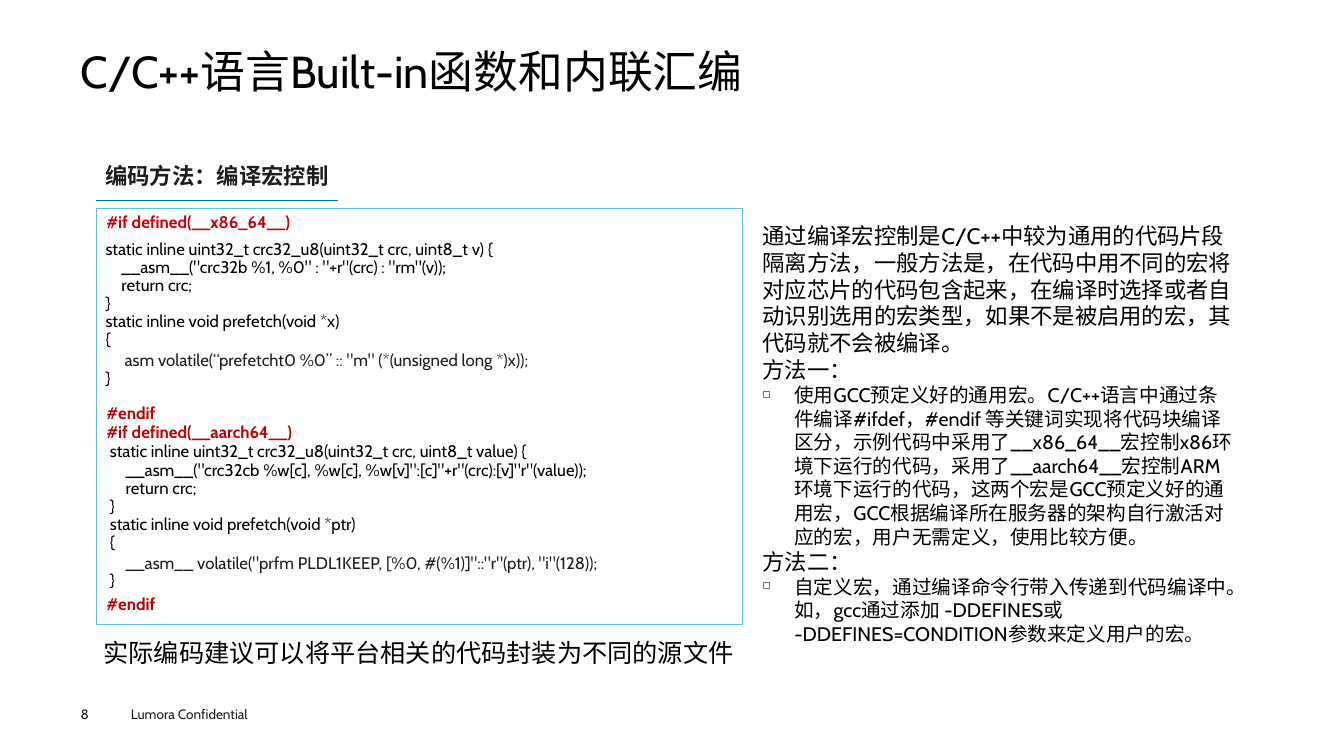
from dataclasses import dataclass

from lxml.etree import SubElement
from pptx import Presentation
from pptx.dml.color import RGBColor
from pptx.enum.shapes import MSO_CONNECTOR, MSO_SHAPE
from pptx.enum.text import MSO_ANCHOR, PP_ALIGN
from pptx.oxml.ns import qn
from pptx.slide import Slide
from pptx.util import Cm, Pt

COLORS = {
    "black": "000000",
    "ink": "1D1D1A",
    "red": "C7000B",
    "dark_red": "C00000",
    "teal": "5EC5D2",
    "blue": "0070C0",
}


def write(paragraph, text, font="Cabin", size=12, color="black", bold=False,
          align=PP_ALIGN.LEFT, spacing=1.0, before=0, indent=0, bullet=None):
    paragraph.alignment = align
    paragraph.line_spacing = spacing
    paragraph.space_before = Pt(before)
    properties = paragraph._p.get_or_add_pPr()
    properties.set("marL", str(Cm(indent)))
    properties.set("indent", str(Cm(-indent if bullet else 0)))
    if bullet:
        SubElement(properties, qn("a:buSzPct"), val="50000")
        SubElement(properties, qn("a:buChar"), char=bullet)
    span = paragraph.add_run()
    span.text = text
    span.font.name = font
    span.font.size = Pt(size)
    span.font.bold = bold
    span.font.color.rgb = RGBColor.from_string(COLORS[color])
    SubElement(span._r.get_or_add_rPr(), qn("a:ea"), typeface=font)


@dataclass
class Painter:
    """Draws styled elements on the current page."""
    page: Slide
    font: str = "Cabin"

    def fill_frame(self, frame, lines, inset=True, **style):
        frame.word_wrap = True
        frame.vertical_anchor = MSO_ANCHOR.TOP
        if not inset:
            frame.margin_left = frame.margin_right = 0
            frame.margin_top = frame.margin_bottom = 0
        for index, (text, own) in enumerate(lines):
            paragraph = frame.add_paragraph() if index else frame.paragraphs[0]
            write(paragraph, text, **{"font": self.font, **style, **own})

    def text(self, place, lines, **style):
        box = self.page.shapes.add_textbox(*map(Cm, place))
        self.fill_frame(box.text_frame, lines, **style)

    def label(self, place, text, **style):
        self.text(place, [(text, {})], **style)

    def panel(self, place, lines, outline, width, **style):
        box = self.page.shapes.add_shape(MSO_SHAPE.RECTANGLE, *map(Cm, place))
        box.shadow.inherit = False
        box.fill.background()
        box.line.color.rgb = RGBColor.from_string(COLORS[outline])
        box.line.width = Pt(width)
        self.fill_frame(box.text_frame, lines, **style)

    def rule(self, left, right, top, color, width):
        line = self.page.shapes.add_connector(
            MSO_CONNECTOR.STRAIGHT, Cm(left), Cm(top), Cm(right), Cm(top))
        line.line.color.rgb = RGBColor.from_string(COLORS[color])
        line.line.width = Pt(width)
        SubElement(line._element.spPr, qn("a:effectLst"))


STEP = {"indent": 0.4}
ASSEMBLY = {"color": "ink", "spacing": 1.0}
ITEM = {"size": 14, "indent": 0.8, "bullet": "◻"}

GUARDS = [
    ("#if defined(__x86_64__)", {"color": "red"}),
    ("#endif", {"before": 122.6}),
    ("#if defined(__aarch64__)", {}),
    ("#endif", {"before": 109}),
]
X86_CODE = [
    ("static inline uint32_t crc32_u8(uint32_t crc, uint8_t v) {", {}),
    ('__asm__("crc32b %1, %0" : "+r"(crc) : "rm"(v));', STEP),
    ("return crc;", STEP),
    ("}", {}),
    ("static inline void prefetch(void *x)", {}),
    ("{", {}),
    ('asm volatile(“prefetcht0 %0” :: "m" (*(unsigned long *)x));',
     {**ASSEMBLY, "indent": 0.48}),
    ("}", {}),
]
ARM_CODE = [
    ("static inline uint32_t crc32_u8(uint32_t crc, uint8_t value) {", {}),
    ('__asm__("crc32cb %w[c], %w[c], %w[v]":[c]"+r"(crc):[v]"r"(value));', STEP),
    ("return crc;", STEP),
    ("}", {}),
    ("static inline void prefetch(void *ptr)", {}),
    ("{", {}),
    ('__asm__ volatile("prfm PLDL1KEEP, [%0, #(%1)]"::"r"(ptr), "i"(128));',
     {**ASSEMBLY, **STEP}),
    ("}", {}),
]
EXPLANATION = [
    ("通过编译宏控制是C/C++中较为通用的代码片段隔离方法，一般方法是，"
     "在代码中用不同的宏将对应芯片的代码包含起来，在编译时选择或者自动识别"
     "选用的宏类型，如果不是被启用的宏，其代码就不会被编译。", {}),
    ("方法一：", {}),
    ("使用GCC预定义好的通用宏。C/C++语言中通过条件编译#ifdef，#endif 等"
     "关键词实现将代码块编译区分，示例代码中采用了__x86_64__宏控制x86环境下"
     "运行的代码，采用了__aarch64__宏控制ARM环境下运行的代码，这两个宏是GCC"
     "预定义好的通用宏，GCC根据编译所在服务器的架构自行激活对应的宏，"
     "用户无需定义，使用比较方便。", ITEM),
    ("方法二：", {}),
    ("自定义宏，通过编译命令行带入传递到代码编译中。如，gcc通过添加 "
     "-DDEFINES或 -DDEFINES=CONDITION参数来定义用户的宏。", ITEM),
]


def main():
    deck = Presentation()
    deck.slide_width, deck.slide_height = Cm(33.87), Cm(19.05)
    painter = Painter(deck.slides.add_slide(deck.slide_layouts[6]))

    painter.label((3.05, 17.66, 4.06, 0.69), "Lumora Confidential",
                  size=9.7, color="ink")
    painter.label((2.03, 17.78, 1.4, 0.41), "8", size=9.7, color="ink", inset=False)
    painter.label((2.03, 1.26, 29.79, 1.37), "C/C++语言Built-in函数和内联汇编",
                  size=32, spacing=0.9, inset=False)

    painter.panel((2.43, 5.25, 16.28, 10.48), GUARDS, "teal", 0.25,
                  color="dark_red", bold=True, spacing=0.95)
    painter.text((2.41, 5.94, 15.14, 4.01), X86_CODE, spacing=0.9)
    painter.text((2.52, 11.05, 16.28, 4.01), ARM_CODE, spacing=0.9)
    painter.text((18.97, 5.47, 12.42, 11.02), EXPLANATION, size=16)

    painter.label((2.41, 4.09, 6.12, 0.8), "编码方法：编译宏控制", size=16,
                  color="ink", bold=True, align=PP_ALIGN.CENTER, inset=False)
    painter.rule(2.41, 8.53, 5.05, "blue", 0.5)
    painter.label((2.36, 15.94, 27.84, 1.02),
                  "实际编码建议可以将平台相关的代码封装为不同的源文件", size=18)

    deck.save("out.pptx")


if __name__ == "__main__":
    main()
